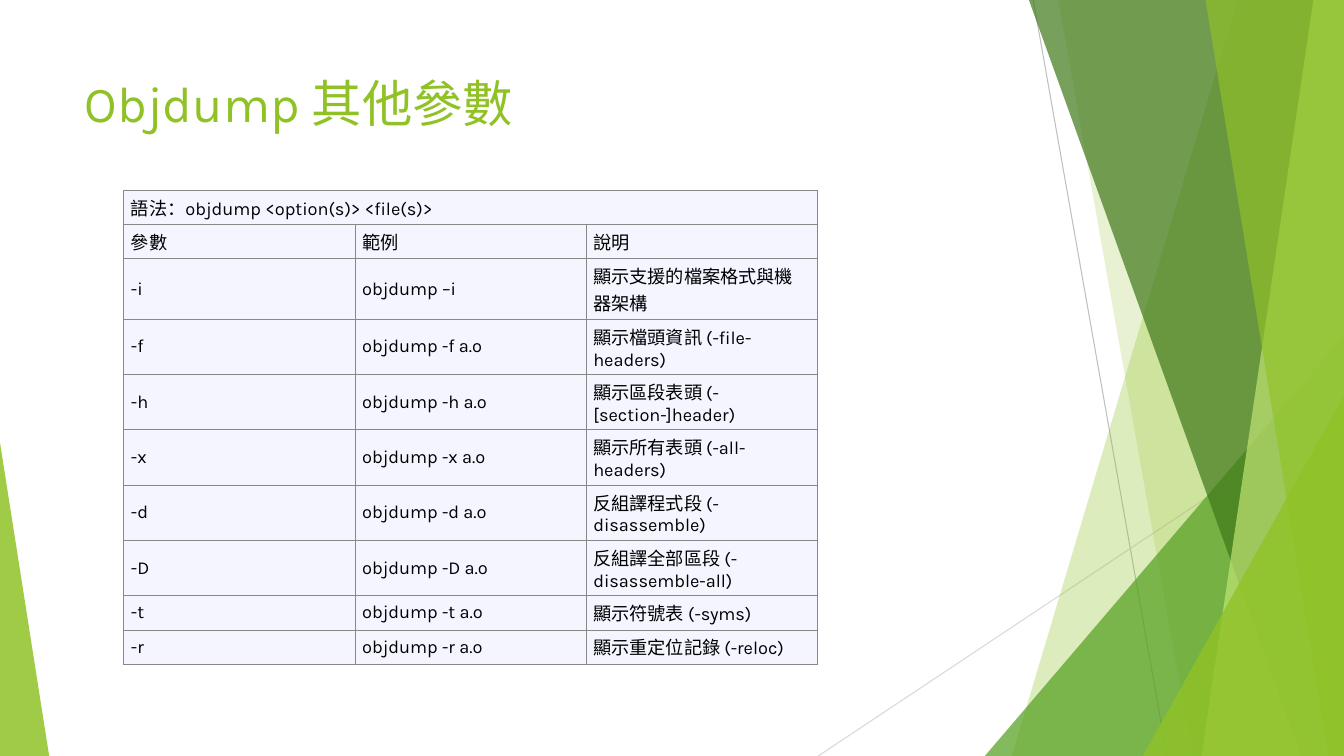
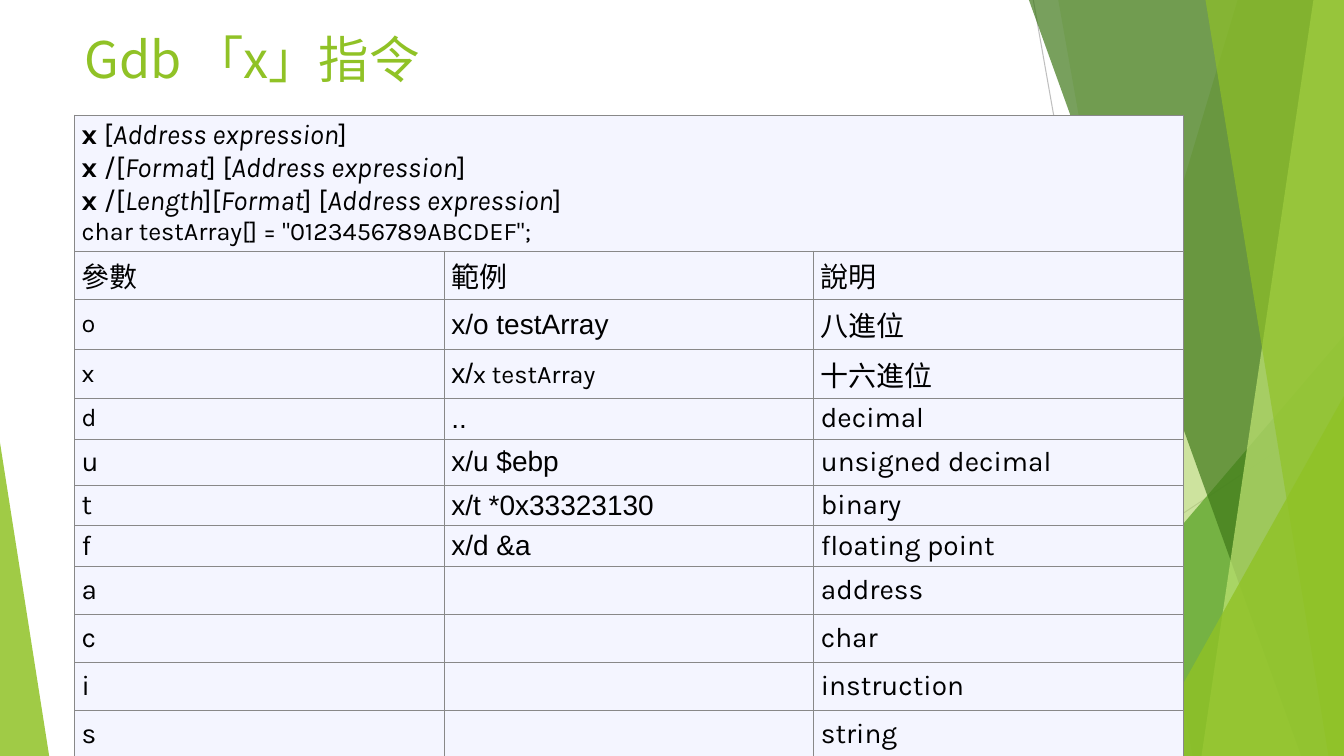
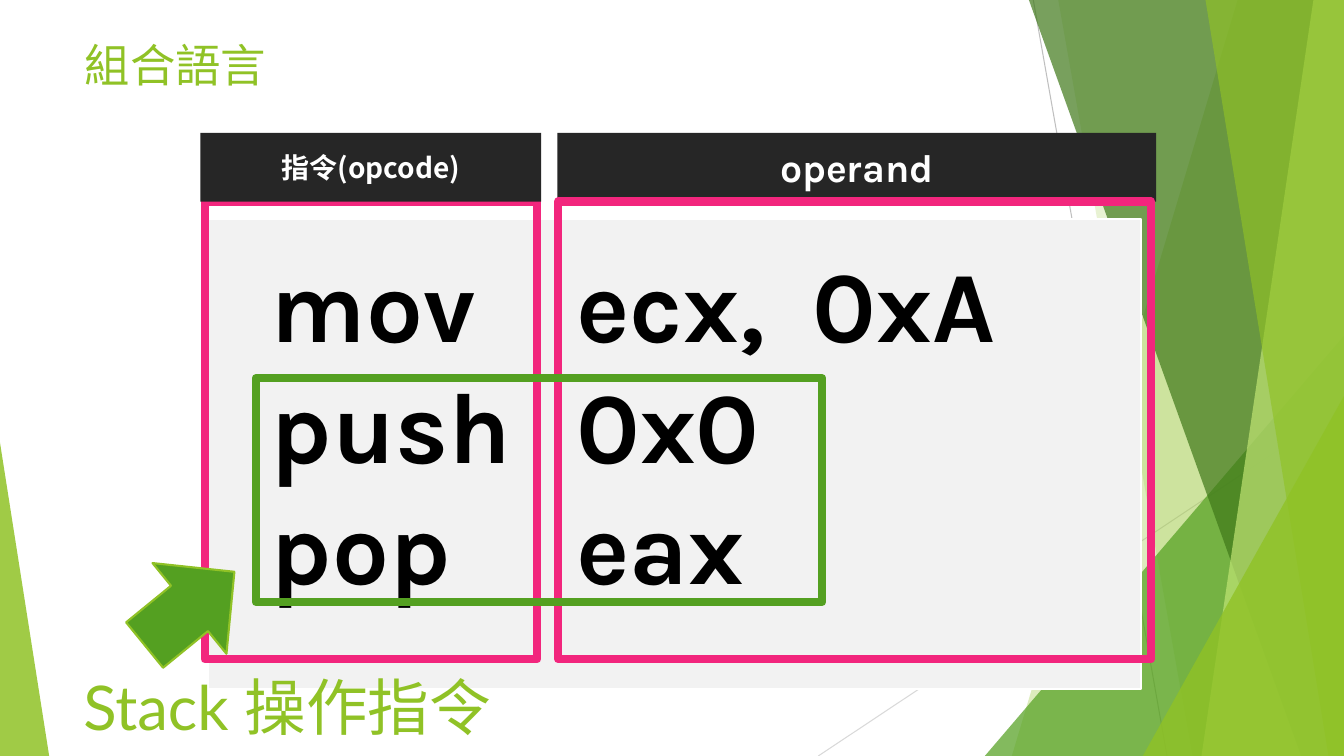
from lxml.etree import SubElement
from pptx import Presentation
from pptx.dml.color import RGBColor
from pptx.enum.shapes import MSO_CONNECTOR as CONN, MSO_SHAPE as SHP
from pptx.enum.text import MSO_ANCHOR as ANC, MSO_AUTO_SIZE as FIT, PP_ALIGN as AL
from pptx.oxml.ns import qn
from pptx.util import Cm, Pt

W, H = 33.87, 19.05
LIME, GREEN, FOREST, PALE = "90C226", "54A021", "3F7819", "C0E474"
PINK, DARK, WHITE, BLACK = "F2267D", "262626", "FFFFFF", "000000"
CELL, BORDER, PANEL = "F4F5FF", "888888", "F2F2F2"
KARLA, ARIAL, LATO, CJK = "Karla", "Arial", "Lato", "Noto Sans CJK SC"


def rgb(code):
    return RGBColor.from_string(code)


class Deck:
    def __init__(self):
        self.prs = Presentation()
        self.prs.slide_width, self.prs.slide_height = Cm(W), Cm(H)
        self.layout = self.prs.slide_layouts[5]
        self.s = None

    def slide(self, title, box, font=CJK, size=36):
        self.s = self.prs.slides.add_slide(self.layout)
        if len(self.prs.slides) == 1:
            self.backdrop()
        sp = self.s.shapes.title
        sp.left, sp.top, sp.width, sp.height = map(Cm, box)
        tf = sp.text_frame
        tf.auto_size, tf.vertical_anchor = FIT.NONE, ANC.TOP
        self.fill_text(tf, title, AL.LEFT, name=font, size=Pt(size), color=LIME)

    def backdrop(self):
        parts = [
            self.line(26.04, 0, 29.41, H, "BFBFBF"),
            self.line(W, 10.24, 20.62, H, "D9D9D9"),
            self.band(31.19, 25.5, LIME, 30),
            self.band(26.67, 30.05, LIME, 20),
            self.wedge(24.82, 8.46, W, 1, GREEN, 72),
            self.band(25.93, 32.79, FOREST, 70),
            self.band(33.1, 30.28, PALE, 70),
            self.band(30.38, 33.48, LIME, 65),
            self.wedge(28.8, 9.98, W, 1, LIME, 80),
            self.wedge(0, 11.15, 1.24, 0, LIME, 85),
        ]
        tree = self.layout.element.cSld.spTree
        for part in parts:
            tree.append(part.element)

    def line(self, x1, y1, x2, y2, color):
        c = self.s.shapes.add_connector(CONN.STRAIGHT, Cm(x1), Cm(y1), Cm(x2), Cm(y2))
        c.line.color.rgb, c.line.width = rgb(color), Pt(0.75)
        SubElement(c.element.spPr, qn("a:effectLst"))
        return c

    def band(self, top_x, bottom_x, color, alpha):
        fb = self.s.shapes.build_freeform(Cm(top_x), 0)
        corners = [(W, 0), (W, H), (bottom_x, H)]
        fb.add_line_segments([(Cm(x), Cm(y)) for x, y in corners], close=True)
        return self.paint(fb.convert_to_shape(), color, alpha=alpha)

    def wedge(self, left, top, right, tip, color, alpha):
        sp = self.shape(SHP.ISOSCELES_TRIANGLE, (left, top, right - left, H - top), color, alpha=alpha)
        sp.adjustments[0] = tip
        return sp

    def shape(self, kind, box, fill=None, line=None, width=1.5, alpha=None):
        sp = self.s.shapes.add_shape(kind, *map(Cm, box))
        return self.paint(sp, fill, line, width, alpha)

    def paint(self, sp, fill=None, line=None, width=1.5, alpha=None):
        sp.shadow.inherit = False
        if fill:
            sp.fill.solid()
            sp.fill.fore_color.rgb = rgb(fill)
        else:
            sp.fill.background()
        if alpha:
            clr = sp.element.spPr.find(".//" + qn("a:srgbClr"))
            SubElement(clr, qn("a:alpha"), val=str(alpha * 1000))
        if line:
            sp.line.color.rgb, sp.line.width = rgb(line), Pt(width)
        else:
            sp.line.fill.background()
        return sp

    def header(self, box, text, font, size):
        tf = self.shape(SHP.RECTANGLE, box, DARK).text_frame
        tf.vertical_anchor = ANC.MIDDLE
        self.fill_text(tf, text, AL.CENTER, name=font, size=Pt(size), color=WHITE, bold=True)

    def text(self, box, content, align=AL.LEFT, stops=(), **fmt):
        tf = self.s.shapes.add_textbox(*map(Cm, box)).text_frame
        tf.word_wrap = True
        self.fill_text(tf, content, align, stops, **fmt)

    def fill_text(self, tf, content, align=AL.LEFT, stops=(), **fmt):
        paras = [[content]] if isinstance(content, str) else content
        for i, runs in enumerate(paras):
            p = tf.add_paragraph() if i else tf.paragraphs[0]
            p.alignment = align
            if stops:
                tabs = SubElement(p._p.get_or_add_pPr(), qn("a:tabLst"))
                for pos in stops:
                    SubElement(tabs, qn("a:tab"), pos=str(Cm(pos)), algn="l")
            for run in runs:
                if run == "\n":
                    p.add_line_break()
                    continue
                text, own = (run, {}) if isinstance(run, str) else run
                r = p.add_run()
                r.text = text
                for key, value in {**fmt, **own}.items():
                    if key == "color":
                        r.font.color.rgb = rgb(value)
                    else:
                        setattr(r.font, key, value)

    def table(self, left, top, width, heights, rows, size):
        cols = len(rows[-1])
        frame = self.s.shapes.add_table(len(rows), cols, Cm(left), Cm(top), Cm(width), Cm(sum(heights)))
        tbl = frame.table
        tbl.first_row = tbl.horz_banding = False
        for tc_pr in frame.element.iter(qn("a:tcPr")):
            for side in "LRTB":
                ln = SubElement(tc_pr, qn("a:ln" + side), w=str(Pt(0.75)))
                SubElement(SubElement(ln, qn("a:solidFill")), qn("a:srgbClr"), val=BORDER)
        for row, height in zip(tbl.rows, heights):
            row.height = Cm(height)
        tbl.cell(0, 0).merge(tbl.cell(0, cols - 1))
        for i, row in enumerate(rows):
            for j, content in enumerate(row):
                cell = tbl.cell(i, j)
                cell.fill.solid()
                cell.fill.fore_color.rgb = rgb(CELL)
                cell.vertical_anchor = ANC.MIDDLE
                cell.margin_left = cell.margin_right = Cm(0.18)
                cell.margin_top = cell.margin_bottom = Cm(0.1)
                if content:
                    self.fill_text(cell.text_frame, content, name=KARLA, size=Pt(size), color=BLACK)

    def set_east_asian_font(self):
        for s in self.prs.slides:
            for r_pr in s.element.iter(qn("a:rPr")):
                latin = r_pr.find(qn("a:latin"))
                if latin is not None:
                    latin.addnext(r_pr.makeelement(qn("a:ea"), typeface=CJK))


def arial(text):
    return [[(text, {"name": ARIAL})]]


def small(text):
    return [[(text, {"size": Pt(18)})]]


def objdump_slide(deck):
    deck.slide("Objdump 其他參數", (1.88, 1.7, 23.88, 3.66), KARLA)
    options = [
        ("-f", "顯示檔頭資訊 (-file-headers)"),
        ("-h", "顯示區段表頭 (-[section-]header)"),
        ("-x", "顯示所有表頭 (-all-headers)"),
        ("-d", "反組譯程式段 (-disassemble)"),
        ("-D", "反組譯全部區段 (-disassemble-all)"),
        ("-t", "顯示符號表 (-syms)"),
        ("-r", "顯示重定位記錄 (-reloc)"),
    ]
    rows = [
        ["語法：objdump <option(s)> <file(s)>"],
        ["參數", "範例", "說明"],
        ["-i", "objdump –i", "顯示支援的檔案格式與機器架構"],
    ] + [[flag, f"objdump {flag} a.o", note] for flag, note in options]
    heights = [0.74] * 2 + [1.3] * 6 + [0.74] * 2
    deck.table(3.12, 4.8, 17.48, heights, rows, 13)


def gdb_slide(deck):
    deck.slide("Gdb 「x」指令", (1.88, 0.58, 23.88, 3.66))
    x = ("x", {"bold": True})
    address, form, length = [(t, {"italic": True}) for t in ("Address expression", "Format", "Length")]
    usage = [
        [x, " [", address, "]", "\n",
         x, " /[", form, "] [", address, "]", "\n",
         x, " /[", length, "][", form, "] [", address, "]"],
        [('char testArray[] = "0123456789ABCDEF";', {"size": Pt(18)})],
    ]
    rows = [
        [usage],
        [arial(t) for t in ("參數", "範例", "說明")],
        [small("o"), arial("x/o testArray"), arial("八進位")],
        [small("x"), [arial("x/")[0] + small("x testArray")[0]], arial("十六進位")],
        [small("d"), arial(".."), "decimal"],
        ["u", arial("x/u $ebp"), "unsigned decimal"],
        ["t", arial("x/t *0x33323130"), "binary"],
        ["f", arial("x/d &a"), "floating point"],
        ["a", "", "address"],
        ["c", "", "char"],
        ["i", "", "instruction"],
        ["s", "", "string"],
    ]
    heights = [3.4, 1.21, 1.26, 1.21, 1.01, 1.16, 1.01, 1.01] + [1.21] * 4
    deck.table(1.88, 2.9, 27.94, heights, rows, 20)


def assembly_slide(deck):
    deck.slide("組合語言", (1.88, 0.81, 22.43, 1.63), size=32.4)
    rect = SHP.RECTANGLE
    deck.shape(rect, (5.23, 5.51, 23.52, 11.86), PANEL, WHITE)
    code = [["mov\tecx,\t0xA"], ["push\t0x0"], ["pop\teax"]]
    deck.text((6.58, 5.97, 29.95, 9.5), code, stops=(7.7, 13.65),
              name=KARLA, size=Pt(72), color=BLACK, bold=True)
    deck.shape(rect, (5.16, 5.08, 8.38, 11.53), line=PINK, width=6)
    deck.header((5.05, 3.35, 8.59, 1.73), "指令(opcode)", CJK, 20)
    deck.header((14.05, 3.35, 15.09, 1.73), "operand", KARLA, 28)
    deck.shape(rect, (14.07, 5.08, 14.94, 11.53), line=PINK, width=6)
    deck.shape(rect, (6.45, 9.53, 14.27, 5.64), line=GREEN, width=6)
    deck.text((-9.83, 16.74, 34.14, 2.21), "Stack 操作指令", AL.CENTER,
              name=LATO, size=Pt(44), color=LIME)
    arrow = deck.shape(SHP.DOWN_ARROW, (3.3, 13.87, 2.95, 2.92), GREEN, LIME)
    arrow.rotation = 230.8


def main():
    deck = Deck()
    objdump_slide(deck)
    gdb_slide(deck)
    assembly_slide(deck)
    deck.set_east_asian_font()
    deck.prs.save("out.pptx")


if __name__ == "__main__":
    main()
